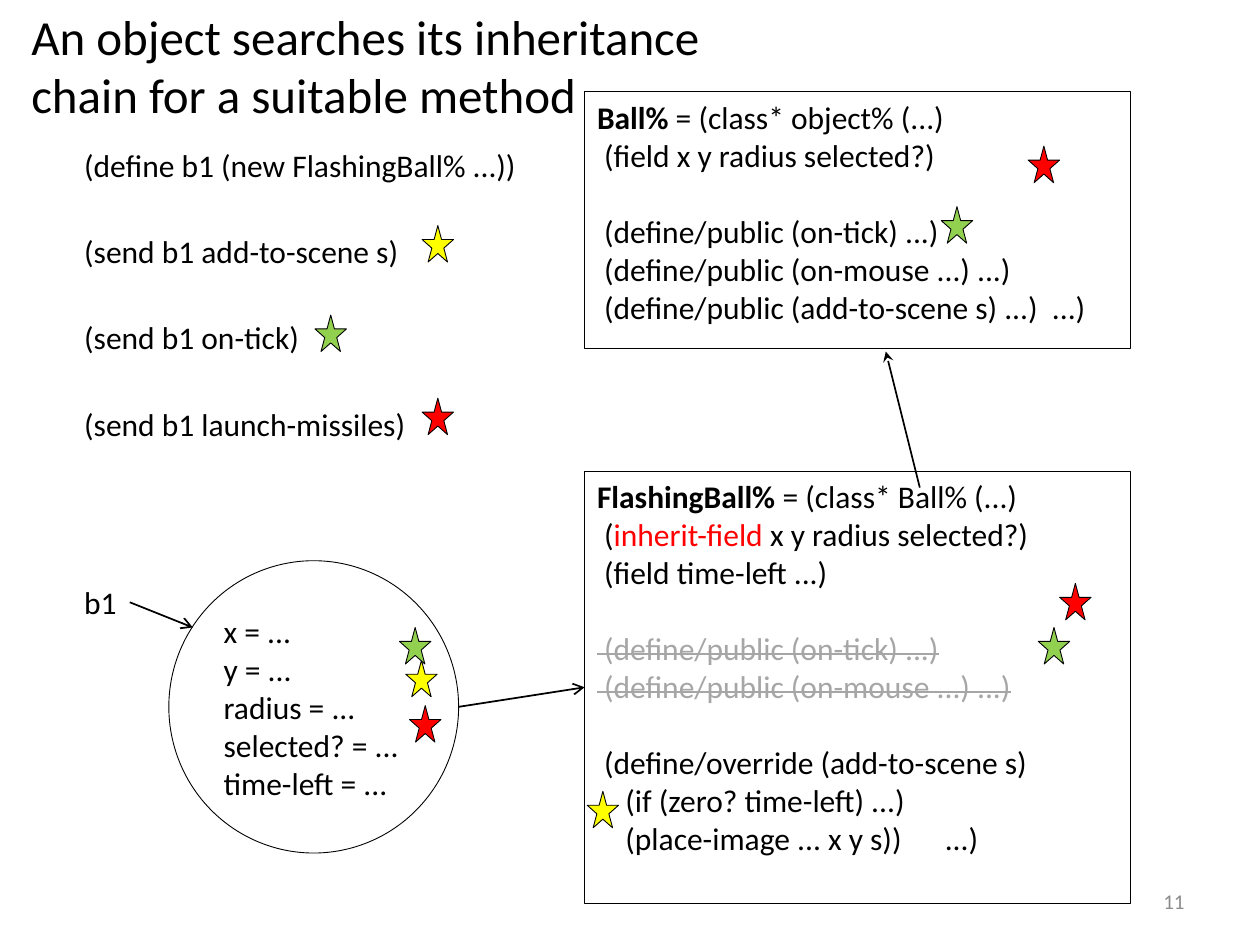
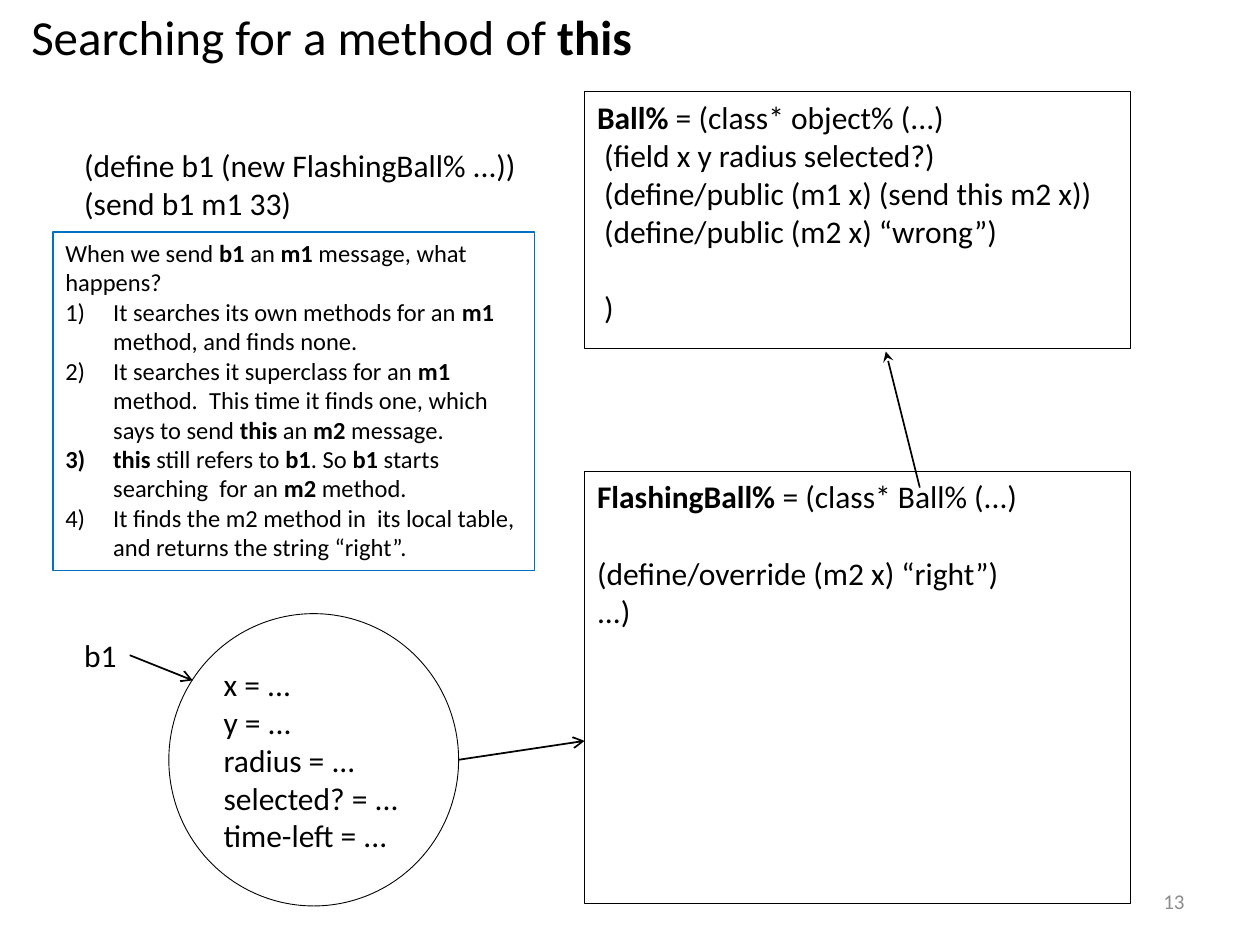
from dataclasses import dataclass

from lxml import etree
from pptx import Presentation
from pptx.dml.color import RGBColor
from pptx.enum.shapes import MSO_CONNECTOR, MSO_SHAPE
from pptx.enum.text import MSO_ANCHOR, PP_ALIGN
from pptx.oxml.ns import qn
from pptx.util import Inches, Pt

RECT, OVAL, STAR = MSO_SHAPE.RECTANGLE, MSO_SHAPE.OVAL, MSO_SHAPE.STAR_5_POINT
STRAIGHT = MSO_CONNECTOR.STRAIGHT
TOP, MIDDLE = MSO_ANCHOR.TOP, MSO_ANCHOR.MIDDLE
RIGHT = PP_ALIGN.RIGHT
LEFT_SIDE = 1


@dataclass(frozen=True)
class Theme:
    font: str = "Calibri"
    ink: str = "000000"
    red: str = "FF0000"
    green: str = "92D050"
    yellow: str = "FFFF00"
    faded: str = "A6A6A6"
    blue: str = "0070C0"
    foot: str = "8C8C8C"
    title: int = 28
    code: int = 18
    note: int = 14
    small: int = 12
    thin: float = 0.5
    frame: float = 0.75
    arrow: float = 1
    gap: int = 22


T = Theme()
STYLES = {
    "plain": {},
    "bold": {"bold": True},
    "red": {"color": T.red},
    "gone": {"color": T.faded, "strike": True},
}


def add_run(para, text, size, color=T.ink, bold=False, strike=False):
    run = para.add_run()
    run.text = text
    for name, value in {"name": T.font, "size": Pt(size), "bold": bold}.items():
        setattr(run.font, name, value)
    run.font.color.rgb = RGBColor.from_string(color)
    if strike:
        run._r.get_or_add_rPr().set("strike", "sngStrike")


def number(para):
    """Number a paragraph 1), 2), ... with a hanging indent."""
    props = para._p.get_or_add_pPr()
    props.set("marL", str(Inches(0.38)))
    props.set("indent", str(-Inches(0.38)))
    etree.SubElement(props, qn("a:buFont"), typeface="+mj-lt")
    etree.SubElement(props, qn("a:buAutoNum"), type="arabicParenR")


def add_tab(para, pos):
    tabs = etree.SubElement(para._p.get_or_add_pPr(), qn("a:tabLst"))
    etree.SubElement(tabs, qn("a:tab"), pos=str(Inches(pos)), algn="l")


def write(frame, lines, size=T.code, color=T.ink, tab=None):
    """Fill a frame; a line is a string or (text, style) parts, None a gap."""
    paras, gap = [], False
    for line in lines:
        if line is None:
            gap = True
            continue
        para = frame.add_paragraph() if paras else frame.paragraphs[0]
        if gap:
            para.space_before = Pt(T.gap)
        parts = [(line, "plain")] if isinstance(line, str) else line
        if any("\t" in text for text, _ in parts):
            add_tab(para, tab)
        for text, style in parts:
            add_run(para, text, size, **{"color": color, **STYLES[style]})
        paras.append(para)
        gap = False
    return paras


def mark(text):
    """Split text at ** into plain and bold parts."""
    return [(part, "bold" if i % 2 else "plain")
            for i, part in enumerate(text.split("**")) if part]


def add_text(slide, box, lines, wrap=True, anchor=TOP, **look):
    frame = slide.shapes.add_textbox(*map(Inches, box)).text_frame
    frame.word_wrap = wrap
    frame.vertical_anchor = anchor
    return write(frame, lines, **look)


def add_form(slide, kind, box, fill=None, line=T.ink, width=T.thin, anchor=TOP):
    form = slide.shapes.add_shape(kind, *map(Inches, box))
    form.shadow.inherit = False
    if fill:
        form.fill.solid()
        form.fill.fore_color.rgb = RGBColor.from_string(fill)
    else:
        form.fill.background()
    form.line.color.rgb = RGBColor.from_string(line)
    form.line.width = Pt(width)
    form.text_frame.word_wrap = True
    form.text_frame.vertical_anchor = anchor
    for para in form.text_frame.paragraphs:
        para.alignment = PP_ALIGN.LEFT
    return form


def write_form(form, lines, **look):
    paras = write(form.text_frame, lines, **look)
    for para in paras:
        para.alignment = PP_ALIGN.LEFT
    return paras


def add_arrow(slide, start, end, head="arrow"):
    link = slide.shapes.add_connector(STRAIGHT, *map(Inches, start + end))
    link.line.color.rgb = RGBColor.from_string(T.ink)
    link.line.width = Pt(T.arrow)
    etree.SubElement(link.line._get_or_add_ln(), qn("a:tailEnd"), type=head)
    etree.SubElement(link._element.spPr, qn("a:effectLst"))
    return link


def add_stars(slide, color, spots):
    for x, y in spots:
        add_form(slide, STAR, (x, y, 0.25, 0.29), fill=color)


def draw_base(deck, title, page):
    """New slide with its title and page number."""
    slide = deck.slides.add_slide(deck.slide_layouts[6])
    add_text(slide, (0.15, 0, 5.6, 0.57), [mark(title)], size=T.title)
    foot = add_text(slide, (7.17, 6.95, 2.33, 0.4), [page], anchor=MIDDLE,
                    size=T.small, color=T.foot)
    foot[0].alignment = RIGHT
    return slide


def draw_chain(slide, ball, flash, x=4.64, y=0.73, w=4.33):
    """Superclass above subclass, with the inheritance arrow."""
    upper = add_form(slide, RECT, (x, y, w, 2.04))
    write_form(upper, [mark("**Ball%** = (class* object% (...)"),
                       " (field x y radius selected?)"] + ball)
    lower = add_form(slide, RECT, (x, y + 3.01, w, 3.43))
    write_form(lower, [mark("**FlashingBall%** = (class* Ball% (...)")] + flash,
               tab=2.76)
    add_arrow(slide, (x + 2.66, y + 3.14), (x + 2.39, y + 2.06), "stealth")
    return lower


def draw_object(slide, y, target=None, x=0.57):
    """Object b1 with its fields and an arrow to its class."""
    circle = add_form(slide, OVAL, (x + 0.77, y, 2.3, 2.32), anchor=MIDDLE)
    fields = ("x", "y", "radius", "selected?", "time-left")
    write_form(circle, [f"{name} = ..." for name in fields])
    add_text(slide, (x, y + 0.13, 0.46, 0.4), ["b1"], wrap=False)
    add_arrow(slide, (x + 0.46, y + 0.33), (x + 0.96, y + 0.53))
    link = add_arrow(slide, (x + 3.07, y + 1.16), (x + 4.07, y + 1.01))
    if target:
        link.end_connect(target, LEFT_SIDE)


def draw_note(slide, box, lead, steps):
    """Framed question with numbered steps."""
    note = add_form(slide, RECT, box, line=T.blue, width=T.frame)
    paras = write_form(note, [mark(line) for line in [lead] + steps], size=T.note)
    for para in paras[1:]:
        number(para)


def draw_search(deck):
    slide = draw_base(
        deck, "An object searches its inheritance chain for a suitable method", "11")
    lower = draw_chain(slide, [
        None,
        " (define/public (on-tick) ...)",
        " (define/public (on-mouse ...) ...)",
        " (define/public (add-to-scene s) ...)  ...)",
    ], [
        [(" (", "plain"), ("inherit-field", "red"),
         (" x y radius selected?)", "plain")],
        " (field time-left ...)",
        None,
        [(" (define/public (on-tick) ...)", "gone")],
        [(" (define/public (on-mouse ...) ...)", "gone")],
        None,
        " (define/override (add-to-scene s)",
        "    (if (zero? time-left) ...)",
        "    (place-image ... x y s))\t...)",
    ])
    # Calls, evenly spaced
    calls = ("(define b1 (new FlashingBall% ...))", "(send b1 add-to-scene s)",
             "(send b1 on-tick)", "(send b1 launch-missiles)")
    for i, call in enumerate(calls):
        add_text(slide, (0.57, 1.11 + 0.684 * i, 3.67, 0.4), [call], wrap=False)
    draw_object(slide, 4.45, lower)
    # Stars follow each call along the chain
    add_stars(slide, T.yellow, [(3.35, 1.79), (3.22, 5.24), (4.66, 6.28)])
    add_stars(slide, T.green,
              [(2.5, 2.5), (8.24, 4.98), (7.47, 1.64), (3.17, 4.98)])
    add_stars(slide, T.red,
              [(3.35, 3.16), (3.25, 5.6), (8.41, 4.63), (8.16, 1.16)])


def draw_this(deck):
    slide = draw_base(deck, "Searching for a method of **this**", "13")
    draw_chain(slide, [
        " (define/public (m1 x) (send this m2 x))",
        " (define/public (m2 x) “wrong”)",
        None,
        " )",
    ], [None, "(define/override (m2 x) “right”)", "...)"])
    add_text(slide, (0.57, 1.11, 3.67, 0.71),
             ["(define b1 (new FlashingBall% ...))", "(send b1 m1 33)"], wrap=False)
    draw_object(slide, 4.87)
    draw_note(slide, (0.42, 1.84, 3.82, 2.69),
              "When we send **b1** an **m1** message, what happens?", [
                  "It searches its own methods for an **m1** method, and finds none.",
                  "It searches it superclass for an **m1** method.  This time it "
                  "finds one, which says to send **this** an **m2** message.",
                  "**this** still refers to **b1**. So **b1** starts searching  for "
                  "an **m2** method.",
                  "It finds the m2 method in  its local table, and returns the "
                  "string “right”.",
              ])


def main():
    deck = Presentation()
    deck.slide_width, deck.slide_height = Inches(10), Inches(7.5)
    draw_search(deck)
    draw_this(deck)
    deck.save("out.pptx")


if __name__ == "__main__":
    main()
